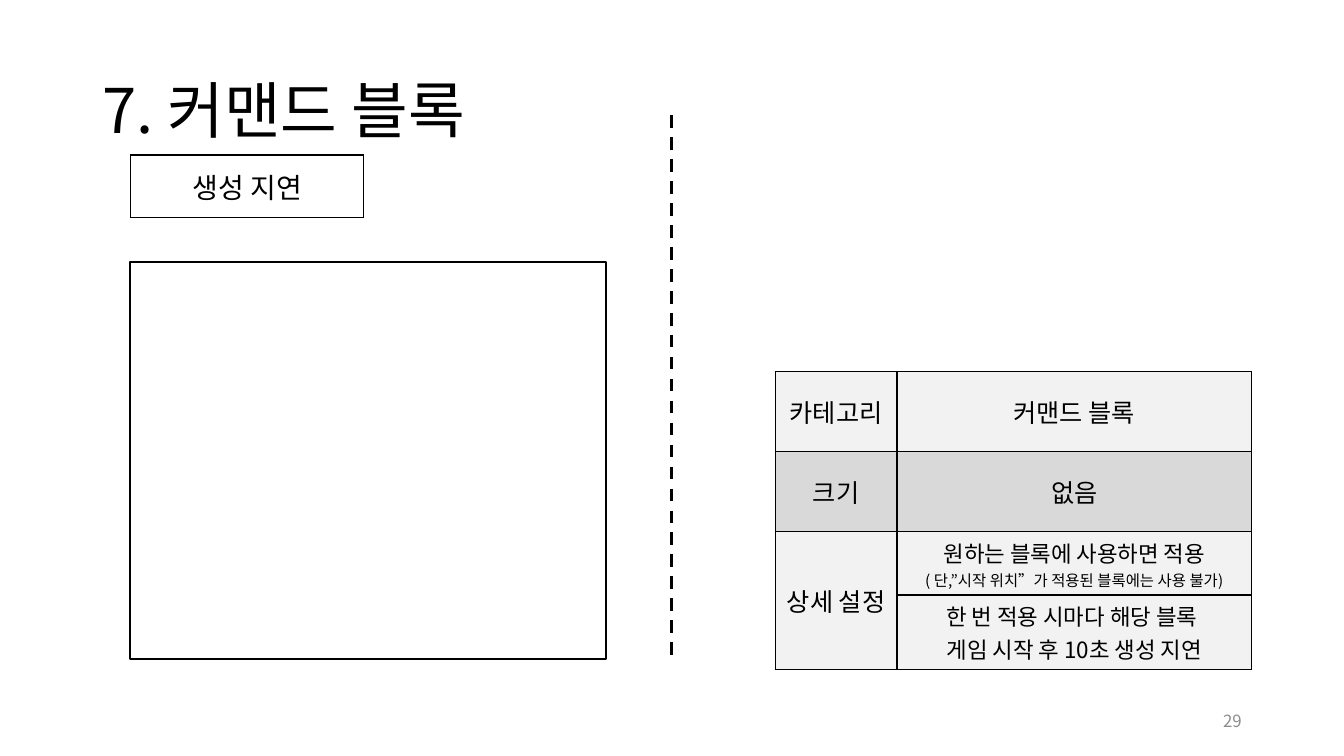
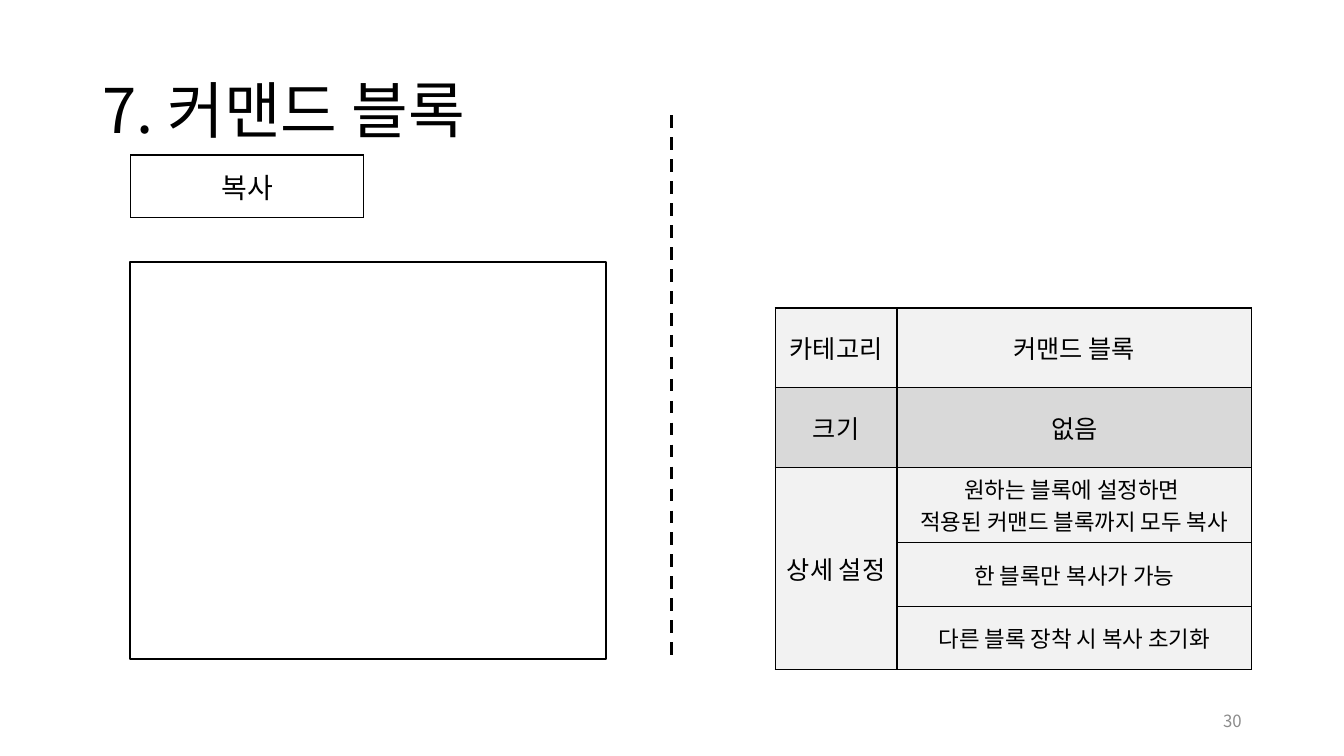
from lxml import etree
from pptx import Presentation
from pptx.dml.color import RGBColor
from pptx.enum import dml, shapes, text
from pptx.oxml.ns import qn
from pptx.util import Pt

FACE = "Noto Sans CJK KR"
BLACK, WHITE, GREY = "000000", "FFFFFF", "8C8C8C"
PALE, DARK = "F2F2F2", "D9D9D9"
LEFT, MID, RIGHT = text.PP_ALIGN.LEFT, text.PP_ALIGN.CENTER, text.PP_ALIGN.RIGHT
HEAD = "7. 커맨드 블록"
BASE = 471  # shared lower edge of frame and divider
ROW, LOW, TALL = 57, 45.5, 53.5  # heights of table rows

# Tag, details as lines of (text, size)
PAGES = [
    ("생성 지연", [
        [("원하는 블록에 사용하면 적용", 16),
         ("( 단,”시작 위치”가 적용된 블록에는 사용 불가)", 11)],
        [("한 번 적용 시마다 해당 블록 ", 16), ("게임 시작 후 10초 생성 지연", 16)],
    ]),
    ("복사", [
        [("원하는 블록에 설정하면 ", 16), ("적용된 커맨드 블록까지 모두 복사", 16)],
        [("한 블록만 복사가 가능", 16)],
        [("다른 블록 장착 시 복사 초기화", 16)],
    ]),
]


def tint(code):
    return RGBColor.from_string(code)


def box(*sides):
    return [Pt(side) for side in sides]


def write(frame, lines, align, color=BLACK):
    """Fill a text frame with one paragraph for each (text, size)."""
    for i, (words, size) in enumerate(lines):
        para = frame.paragraphs[0] if i == 0 else frame.add_paragraph()
        para.text = words
        para.alignment = align
        font = para.font
        font.name, font.size = FACE, Pt(size)
        font.color.rgb = tint(color)
        east = etree.SubElement(font._element, qn("a:ea"))
        east.set("typeface", FACE)
    frame.vertical_anchor = text.MSO_ANCHOR.MIDDLE


def edge(cell):
    """Draw a thin black border on all sides of a cell."""
    props = cell._tc.get_or_add_tcPr()
    for i, side in enumerate(("lnL", "lnR", "lnT", "lnB")):
        line = etree.Element(qn("a:" + side), w=str(Pt(1)))
        fill = etree.SubElement(line, qn("a:solidFill"))
        etree.SubElement(fill, qn("a:srgbClr"), val=BLACK)
        props.insert(i, line)


def grid(slide, left, top, cols, rows, fills):
    """Add a bordered table with one fill colour for each row."""
    table = slide.shapes.add_table(
        len(rows), len(cols), *box(left, top, sum(cols), sum(rows))).table
    table.first_row = table.horz_banding = False
    for col, width in zip(table.columns, cols):
        col.width = Pt(width)
    for row, height, color in zip(table.rows, rows, fills):
        row.height = Pt(height)
        for cell in row.cells:
            cell.fill.solid()
            cell.fill.fore_color.rgb = tint(color)
            edge(cell)
    return table


def put(cell, lines):
    write(cell.text_frame, lines, MID)
    cell.vertical_anchor = text.MSO_ANCHOR.MIDDLE


def title(slide, left, top, width, height):
    shape = slide.shapes.title
    shape.left, shape.top, shape.width, shape.height = box(left, top, width, height)
    frame = shape.text_frame
    frame.auto_size = text.MSO_AUTO_SIZE.NONE
    write(frame, [(HEAD, 44)], LEFT)
    frame.paragraphs[0].line_spacing = 0.9


def number(slide, left, top, width, height, page):
    frame = slide.shapes.add_textbox(*box(left, top, width, height)).text_frame
    frame.word_wrap = True
    write(frame, [(str(page), 12)], RIGHT, GREY)


def divide(slide, x, top, end):
    line = slide.shapes.add_connector(
        shapes.MSO_CONNECTOR.STRAIGHT, *box(x, top, x, end))
    line.line.color.rgb = tint(BLACK)
    line.line.width = Pt(2.25)
    line.line.dash_style = dml.MSO_LINE.DASH
    etree.SubElement(line._element.spPr, qn("a:effectLst"))


def label(slide, left, top, width, height, words):
    table = grid(slide, left, top, [width], [height], [WHITE])
    put(table.cell(0, 0), [(words, 20)])


def frame(slide, left, top, width, height):
    rect = slide.shapes.add_shape(
        shapes.MSO_SHAPE.RECTANGLE, *box(left, top, width, height))
    rect.shadow.inherit = False
    rect.fill.background()
    rect.line.color.rgb = tint(BLACK)
    rect.line.width = Pt(1.5)


def tall(lines):
    """Height of a detail row that holds all its lines."""
    return TALL if sum(size for _, size in lines) > 30 else LOW


def facts(slide, left, base, cols, notes):
    """Add the table of properties, standing on the given base."""
    count = len(notes)
    rows = [ROW, ROW] + [tall(lines) for lines in notes]
    table = grid(slide, left, base - sum(rows), cols, rows,
                 [PALE, DARK] + [PALE] * count)
    table.cell(2, 0).merge(table.cell(count + 1, 0))
    for i, name in enumerate(("카테고리", "크기", "상세 설정")):
        put(table.cell(i, 0), [(name, 18)])
    values = [[("커맨드 블록", 18)], [("없음", 18)]] + notes
    for i, lines in enumerate(values):
        put(table.cell(i, 1), lines)


def build(deck, page, tag, notes):
    slide = deck.slides.add_slide(deck.slide_layouts[5])
    title(slide, 66, 28.75, 828, 104.4)
    number(slide, 678, 500.5, 216, 28.75, page)
    divide(slide, 479.75, 82.5, BASE)
    label(slide, 93.5, 110.75, 166.3, 44.6, tag)
    facts(slide, 553.75, 478.5, [87, 253.3], notes)
    frame(slide, 93, 187, 340, BASE - 187)


def main():
    deck = Presentation()
    deck.slide_width, deck.slide_height = box(960, 540)
    for page, (tag, notes) in enumerate(PAGES, 29):
        build(deck, page, tag, notes)
    deck.save("out.pptx")


if __name__ == "__main__":
    main()
